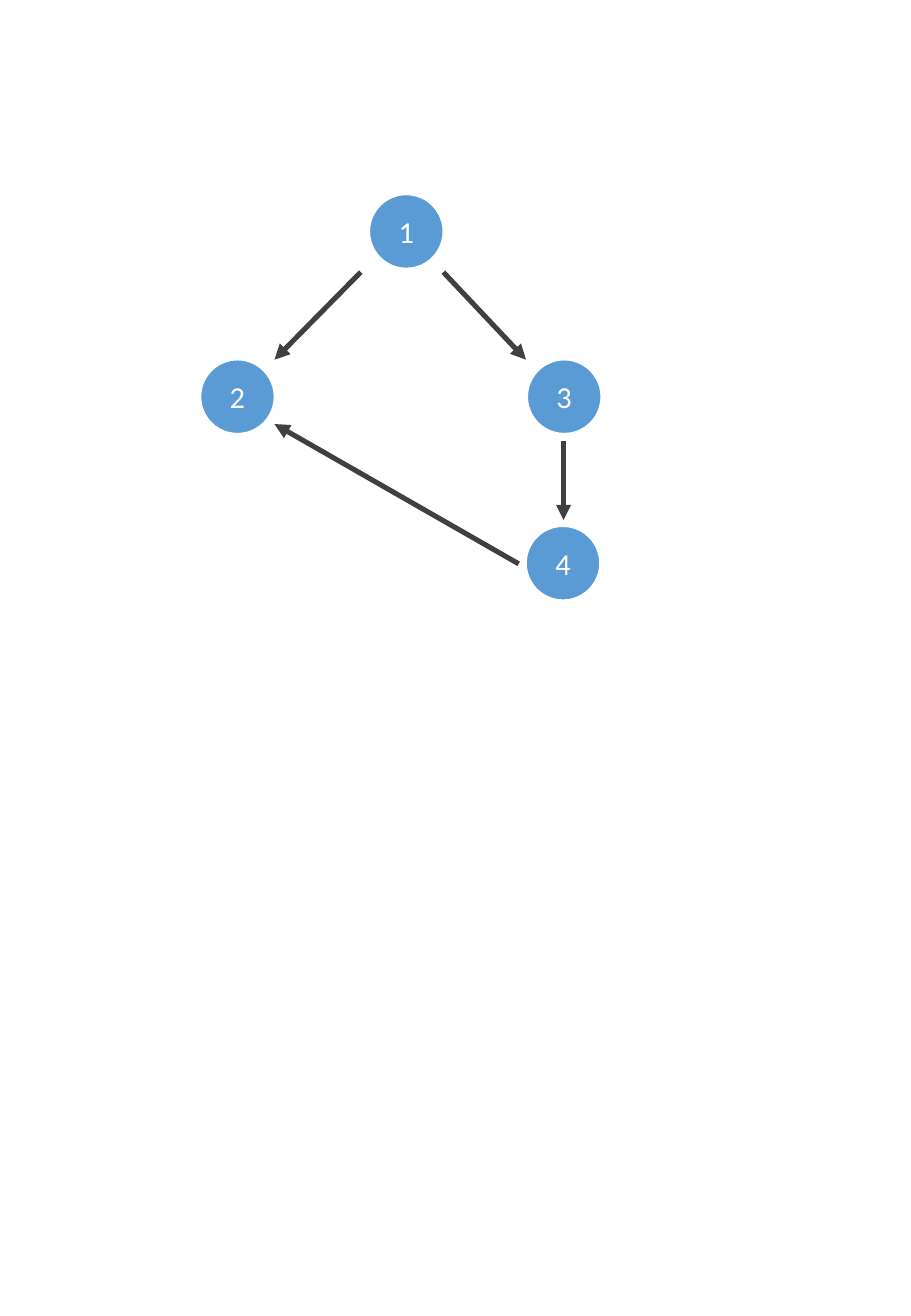
"""Draw a directed graph of four numbered nodes."""
from dataclasses import dataclass

from lxml import etree
from pptx import Presentation
from pptx.dml.color import RGBColor
from pptx.enum.shapes import MSO_CONNECTOR, MSO_SHAPE
from pptx.enum.text import MSO_ANCHOR, PP_ALIGN
from pptx.oxml.ns import qn
from pptx.shapes.shapetree import GroupShapes
from pptx.util import Pt

ELLIPSE = MSO_SHAPE.OVAL
STRAIGHT = MSO_CONNECTOR.STRAIGHT
MIDDLE = MSO_ANCHOR.MIDDLE
CENTER = PP_ALIGN.CENTER

EMU_PER_PX = 9144
PAGE_WIDTH, PAGE_HEIGHT = 750, 1083
DIAMETER = 61
BLANK_LAYOUT = 6

WHITE = "FFFFFF"
BLUE = "5B9BD5"
GRAY = "404040"
LABEL_FORMAT = {"name": "Calibri", "size": Pt(18)}


@dataclass(frozen=True)
class Node:
    """A numbered circle placed by its top left corner."""
    label: str
    left: int
    top: int


@dataclass(frozen=True)
class Edge:
    """An arrow between two points."""
    start: tuple[int, int]
    end: tuple[int, int]


NODES = [
    Node("1", 304, 160),
    Node("2", 165, 296),
    Node("3", 434, 296),
    Node("4", 433, 433),
]
EDGES = [
    Edge((297, 224), (226, 296)),
    Edge((365, 224), (433, 296)),
    Edge((427, 464), (226, 349)),
    Edge((464, 363), (464, 428)),
]


def px(*lengths: int) -> list[int]:
    """Turn pixel lengths into EMU."""
    return [length * EMU_PER_PX for length in lengths]


def color(value: str) -> RGBColor:
    """Turn a hex string into a colour."""
    return RGBColor.from_string(value)


def draw_node(shapes: GroupShapes, node: Node) -> None:
    """Draw a circle with its number in the middle."""
    circle = shapes.add_shape(
        ELLIPSE, *px(node.left, node.top, DIAMETER, DIAMETER))
    circle.shadow.inherit = False
    circle.fill.solid()
    circle.fill.fore_color.rgb = color(BLUE)
    circle.line.color.rgb = color(WHITE)
    circle.line.width = Pt(1)
    circle.text_frame.vertical_anchor = MIDDLE
    para = circle.text_frame.paragraphs[0]
    para.alignment = CENTER
    span = para.add_run()
    span.text = node.label
    for name, value in LABEL_FORMAT.items():
        setattr(span.font, name, value)
    span.font.color.rgb = color(WHITE)


def draw_edge(shapes: GroupShapes, edge: Edge) -> None:
    """Draw a straight arrow with a triangular head at its end."""
    arrow = shapes.add_connector(STRAIGHT, *px(*edge.start, *edge.end))
    arrow.line.color.rgb = color(GRAY)
    arrow.line.width = Pt(3)
    properties = arrow._element.spPr
    outline = properties.find(qn("a:ln"))
    etree.SubElement(outline, qn("a:tailEnd"), type="triangle")
    etree.SubElement(properties, qn("a:effectLst"))


def main() -> None:
    """Build the page and save the deck."""
    deck = Presentation()
    deck.slide_width, deck.slide_height = px(PAGE_WIDTH, PAGE_HEIGHT)
    page = deck.slides.add_slide(deck.slide_layouts[BLANK_LAYOUT])
    graph = page.shapes.add_group_shape()
    for node in NODES:
        draw_node(graph.shapes, node)
    for edge in EDGES:
        draw_edge(graph.shapes, edge)
    deck.save("out.pptx")


if __name__ == "__main__":
    main()
